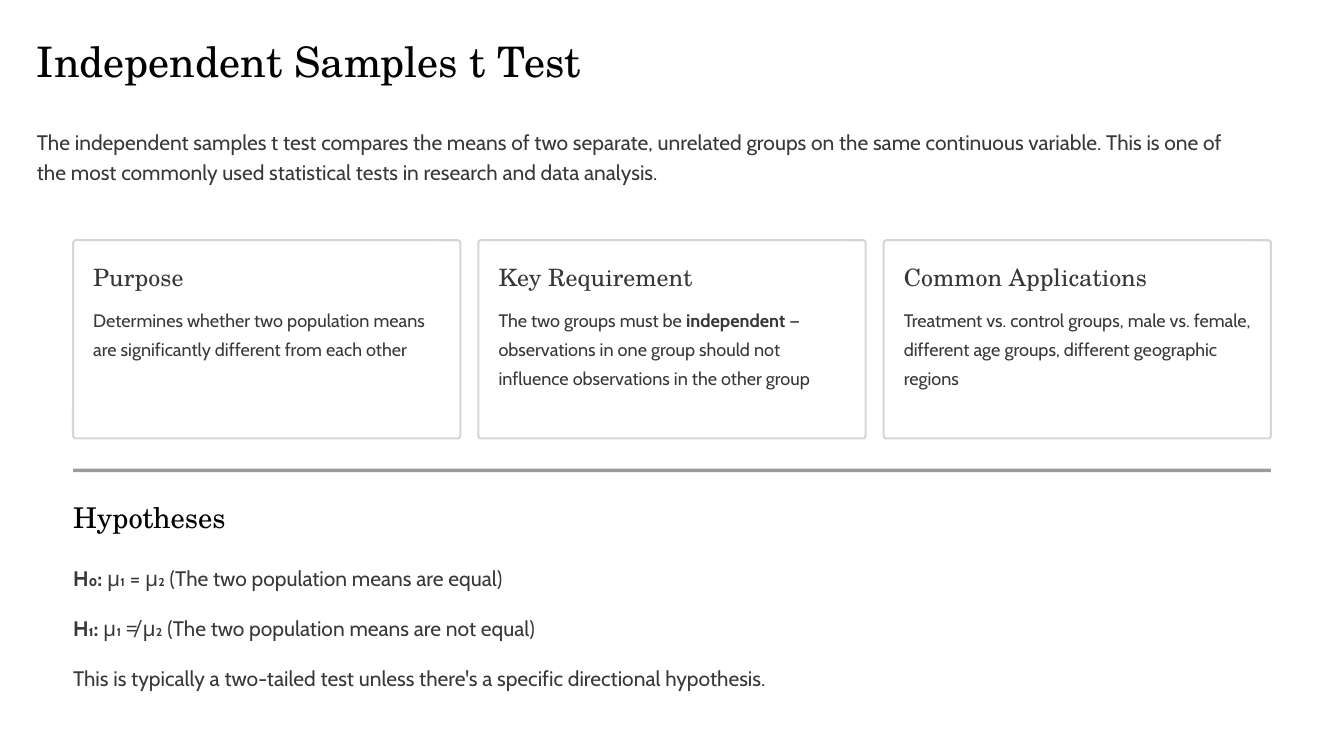
"""Build the slide on the independent samples t test."""
from lxml import etree
from pptx import Presentation
from pptx.dml.color import RGBColor
from pptx.enum import shapes, text
from pptx.oxml import ns
from pptx.util import Inches, Pt

WHITE = RGBColor(0xFF, 0xFF, 0xFF)
BLACK = RGBColor(0x02, 0x02, 0x02)
GREY = RGBColor(0x38, 0x38, 0x38)
BORDER = RGBColor(0xD8, 0xD4, 0xD4)
SERIF = "TeX Gyre Schola"
SANS = "Cabin"


def write(box, runs, size, spacing, font=SANS, color=GREY, wrap=False):
    """Fill a box with one paragraph; runs are (words, bold) pairs."""
    frame = box.text_frame
    frame.margin_left = frame.margin_right = frame.margin_top = frame.margin_bottom = 0
    frame.auto_size = text.MSO_AUTO_SIZE.NONE
    frame.vertical_anchor = text.MSO_ANCHOR.TOP
    frame.word_wrap = wrap
    paragraph = frame.paragraphs[0]
    paragraph.alignment = text.PP_ALIGN.LEFT
    paragraph.line_spacing = Pt(spacing)
    paragraph.font.name = font
    paragraph.font.size = Pt(size)
    paragraph.font.color.rgb = color
    for words, bold in runs:
        run = paragraph.add_run()
        run.text = words
        if bold:
            run.font.bold = True


def add_text(left, top, width, height, runs, *style, **options):
    """Add a text box, measured in inches, and write into it."""
    box = slide.shapes.add_textbox(Inches(left), Inches(top), Inches(width), Inches(height))
    write(box, runs, *style, **options)


deck = Presentation()
deck.slide_width = Inches(16)
deck.slide_height = Inches(9)
slide = deck.slides.add_slide(deck.slide_layouts[5])
slide.background.fill.solid()
slide.background.fill.fore_color.rgb = WHITE

title = slide.shapes.title
title.left, title.top = Inches(0.44), Inches(0.32)
title.width, title.height = Inches(7.04), Inches(0.71)
write(title, [("Independent Samples t Test", False)], 36, 51, SERIF, BLACK)

intro = (
    "The independent samples t test compares the means of two separate, unrelated groups "
    "on the same continuous variable. This is one of the most commonly used statistical "
    "tests in research and data analysis."
)
add_text(0.44, 1.5, 14.26, 0.69, [(intro, False)], 18, 25, wrap=True)

cards = [
    ("Purpose", 1.04, [
        ("Determines whether two population means are significantly different from each other", False),
    ]),
    ("Key Requirement", 1.39, [
        ("The two groups must be ", False),
        ("independent", True),
        (" — observations in one group should not influence observations in the other group", False),
    ]),
    ("Common Applications", 1.04, [
        ("Treatment vs. control groups, male vs. female, different age groups, "
         "different geographic regions", False),
    ]),
]
for index, (heading, body_height, body) in enumerate(cards):
    left = 0.87 + index * 4.825
    card = slide.shapes.add_shape(
        shapes.MSO_SHAPE.ROUNDED_RECTANGLE,
        Inches(left), Inches(2.86), Inches(4.61), Inches(2.36))
    card.adjustments[0] = 0.014
    card.shadow.inherit = False
    card.fill.solid()
    card.fill.fore_color.rgb = WHITE
    card.line.color.rgb = BORDER
    card.line.width = Pt(1.8)
    add_text(left + 0.24, 3.11, 2.85, 0.36, [(heading, False)], 20.5, 25.5, SERIF)
    add_text(left + 0.24, 3.59, 4.13, body_height, body, 15.5, 25, wrap=True)

divider = slide.shapes.add_shape(
    shapes.MSO_SHAPE.RECTANGLE, Inches(0.87), Inches(5.58), Inches(14.26), Inches(0.04))
divider.shadow.inherit = False
divider.fill.solid()
divider.fill.fore_color.rgb = GREY
divider.line.fill.background()
divider_color = divider.fill._xPr.find(".//" + ns.qn("a:srgbClr"))
etree.SubElement(divider_color, ns.qn("a:alpha"), val="50000")

add_text(0.87, 5.94, 3.42, 0.43, [("Hypotheses", False)], 24.5, 30.5, SERIF, BLACK)
hypotheses = [
    [("H₀:", True), (" μ₁ = μ₂ (The two population means are equal)", False)],
    [("H₁:", True), (" μ₁ ≠ μ₂ (The two population means are not equal)", False)],
    [("This is typically a two-tailed test unless there's a specific directional hypothesis.", False)],
]
for index, hypothesis in enumerate(hypotheses):
    add_text(0.87, 6.69 + index * 0.59, 14.26, 0.35, hypothesis, 18, 25)

deck.save("out.pptx")
